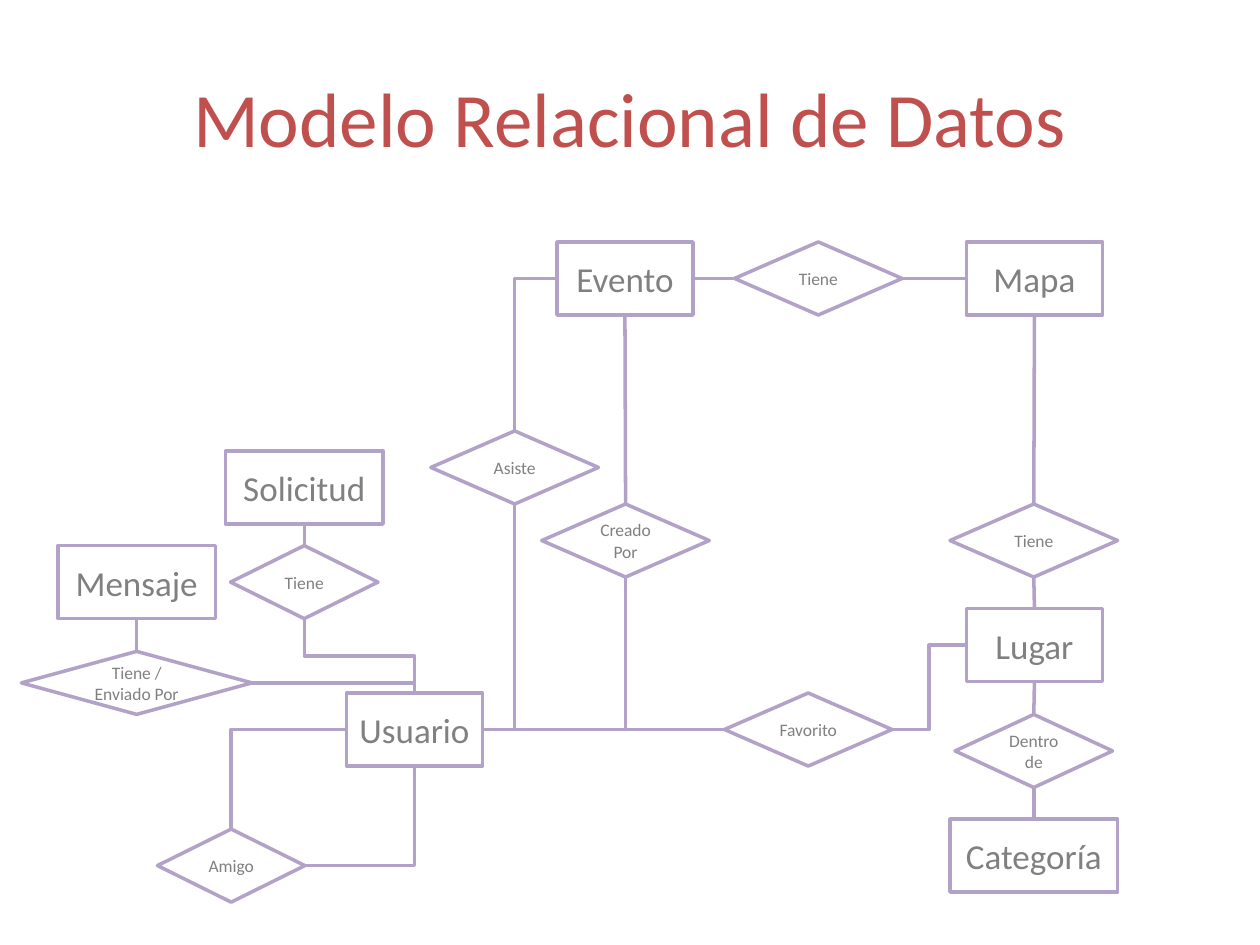
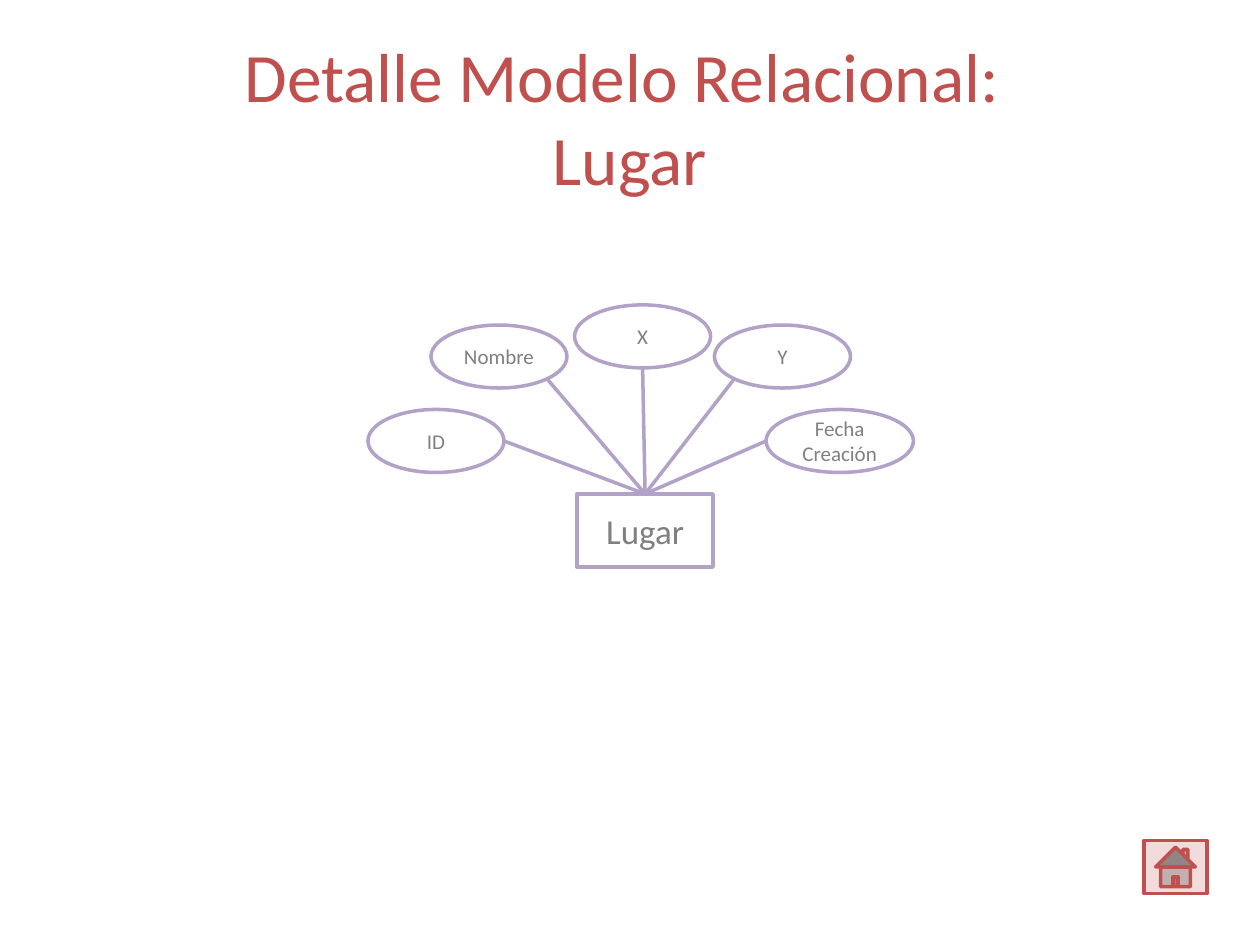
from dataclasses import dataclass
from math import sqrt

from pptx import Presentation
from pptx.dml.color import RGBColor
from pptx.enum.shapes import MSO_CONNECTOR as Connector, MSO_SHAPE as Shape
from pptx.enum.text import MSO_ANCHOR as Anchor, PP_ALIGN as Align
from pptx.oxml.ns import qn
from pptx.util import Inches, Pt


@dataclass(frozen=True)
class Theme:
    """Colours, type sizes and measures that the slides share."""
    font: str = "Calibri"
    accent: str = "C0504D"
    accent_pale: str = "F2DCDB"
    outline: str = "B3A2C7"
    text: str = "808080"
    paper: str = "FFFFFF"
    title_size: float = 44
    long_title_size: float = 39.6
    entity_size: float = 20
    relation_size: float = 10
    attribute_size: float = 12
    line_width: float = 2
    inset: float = 0.09
    entity_height: float = 0.58


THEME = Theme()
TOP, LEFT, BOTTOM, RIGHT = range(4)
ELBOW, CORNER, STEP_DOWN = "elbow", "corner", "step down"
KINDS = {
    "entity": (Shape.RECTANGLE, THEME.entity_size),
    "relation": (Shape.DIAMOND, THEME.relation_size),
    "attribute": (Shape.OVAL, THEME.attribute_size),
}

# Key: kind, text, left, top, width, height
MODEL_NODES = {
    "user": ("entity", "Usuario", 2.75, 5.5, 1.08),
    "friend": ("relation", "Amigo", 1.25, 6.58, 1.17),
    "place": ("entity", "Lugar", 7.67, 4.83, 1.08),
    "favourite": ("relation", "Favorito", 5.75, 5.5, 1.33),
    "map": ("entity", "Mapa", 7.67, 1.92, 1.08),
    "map has": ("relation", "Tiene", 7.54, 4, 1.33),
    "inside": ("relation", "Dentro de", 7.58, 5.67, 1.25),
    "category": ("entity", "Categoría", 7.54, 6.5, 1.33),
    "event has": ("relation", "Tiene", 5.83, 1.92, 1.33),
    "message": ("entity", "Mensaje", 0.46, 4.33, 1.25),
    "request": ("entity", "Solicitud", 1.79, 3.58, 1.25),
    "sent by": ("relation", "Tiene / Enviado Por", 0.17, 5.17, 1.83, 0.5),
    "request has": ("relation", "Tiene", 1.83, 4.33, 1.17),
    "event": ("entity", "Evento", 4.42, 1.92, 1.08),
    "created by": ("relation", "Creado Por", 4.3, 4, 1.33),
    "attends": ("relation", "Asiste", 3.42, 3.42, 1.33),
}
# Start node and side, end node and side, route (straight when left out)
MODEL_LINKS = [
    ("user", LEFT, "friend", TOP, CORNER),
    ("friend", RIGHT, "user", BOTTOM, CORNER),
    ("user", RIGHT, "favourite", LEFT),
    ("place", LEFT, "favourite", RIGHT, ELBOW),
    ("map", BOTTOM, "map has", TOP),
    ("map has", BOTTOM, "place", TOP),
    ("place", BOTTOM, "inside", TOP),
    ("inside", BOTTOM, "category", TOP),
    ("event", RIGHT, "event has", LEFT),
    ("event has", RIGHT, "map", LEFT),
    ("event", BOTTOM, "created by", TOP),
    ("user", RIGHT, "created by", BOTTOM, CORNER),
    ("event", LEFT, "attends", TOP, CORNER),
    ("user", RIGHT, "attends", BOTTOM, CORNER),
    ("message", BOTTOM, "sent by", TOP),
    ("sent by", RIGHT, "user", TOP, CORNER),
    ("request", BOTTOM, "request has", TOP),
    ("request has", BOTTOM, "user", TOP, STEP_DOWN),
]

DIAGONAL = 1 / sqrt(2)
# Text, left, top, width, link point as a share of the half width and height
PLACE_ATTRIBUTES = [
    ("ID", 2.92, 3.25, 1.08, (1, 0)),
    ("Nombre", 3.42, 2.58, 1.08, (DIAGONAL, DIAGONAL)),
    ("X", 4.56, 2.42, 1.08, (0, 1)),
    ("Y", 5.67, 2.58, 1.08, (-DIAGONAL, DIAGONAL)),
    ("Fecha Creación", 6.08, 3.25, 1.17, (-1, 0)),
]


def style_font(font, size, colour):
    """Give a font the theme face, a size and a colour."""
    for name, value in {"name": THEME.font, "size": Pt(size)}.items():
        setattr(font, name, value)
    font.color.rgb = RGBColor.from_string(colour)


def style_line(line, colour):
    """Give an outline or connector the theme width and a colour."""
    line.color.rgb = RGBColor.from_string(colour)
    line.width = Pt(THEME.line_width)


def add_title_slide(presentation, text, size):
    """Add a slide with only a centred title."""
    slide = presentation.slides.add_slide(presentation.slide_layouts[5])
    title = slide.shapes.title
    bounds = {"left": 0.5, "top": 0.3, "width": 9, "height": 1.25}
    for name, value in bounds.items():
        setattr(title, name, Inches(value))
    frame = title.text_frame
    frame.text = text
    frame.vertical_anchor = Anchor.MIDDLE
    paragraph = frame.paragraphs[0]
    paragraph.alignment = Align.CENTER
    for run in paragraph.runs:
        style_font(run.font, size, THEME.accent)
    return slide


def add_outlined(shapes, preset, bounds, fill, outline):
    """Add a flat preset shape with a fill and an outline."""
    shape = shapes.add_shape(preset, *map(Inches, bounds))
    shape.shadow.inherit = False
    shape.fill.solid()
    shape.fill.fore_color.rgb = RGBColor.from_string(fill)
    style_line(shape.line, outline)
    return shape


def add_node(shapes, kind, text, left, top, width, height=THEME.entity_height):
    """Add a labelled entity, relation or attribute."""
    preset, size = KINDS[kind]
    shape = add_outlined(shapes, preset, (left, top, width, height),
                         THEME.paper, THEME.outline)
    frame = shape.text_frame
    frame.text = text
    settings = {"word_wrap": True, "vertical_anchor": Anchor.MIDDLE,
                "margin_left": Inches(THEME.inset),
                "margin_right": Inches(THEME.inset)}
    for name, value in settings.items():
        setattr(frame, name, value)
    paragraph = frame.paragraphs[0]
    paragraph.alignment = Align.CENTER
    style_font(paragraph.runs[0].font, size, THEME.text)
    return shape


def add_line(shapes, start=(0, 0), end=(0, 0), kind=Connector.STRAIGHT):
    """Add a flat connector between two points."""
    line = shapes.add_connector(kind, *map(Inches, (*start, *end)))
    style_line(line.line, THEME.outline)
    properties = line._element.spPr
    properties.append(properties.makeelement(qn("a:effectLst"), {}))
    return line


def turn_step(line):
    """Turn an elbow so that it leaves and arrives vertically."""
    width, height = line.width, line.height
    line.left += (width - height) // 2
    line.top += (height - width) // 2
    line.width, line.height = height, width
    transform = line._element.spPr.find(qn("a:xfrm"))
    transform.set("rot", str(90 * 60000))
    transform.set("flipV", "1")


def link_nodes(shapes, start, start_side, end, end_side, route=None):
    """Join the sides of two nodes by a straight or bent connector."""
    line = add_line(shapes,
                    kind=Connector.ELBOW if route else Connector.STRAIGHT)
    line.begin_connect(start, start_side)
    line.end_connect(end, end_side)
    if route == CORNER:
        geometry = line._element.spPr.find(qn("a:prstGeom"))
        geometry.set("prst", "bentConnector2")
    elif route == STEP_DOWN:
        turn_step(line)


def add_home_button(slide):
    """Add the home button at the bottom right."""
    add_outlined(slide.shapes, Shape.ACTION_BUTTON_HOME,
                 (9.08, 6.67, 0.5, 0.42), THEME.accent_pale, THEME.accent)


def build_model(presentation):
    """Build the entity-relation diagram."""
    slide = add_title_slide(presentation, "Modelo Relacional de Datos",
                            THEME.title_size)
    nodes = {key: add_node(slide.shapes, *node)
             for key, node in MODEL_NODES.items()}
    for start, start_side, end, end_side, *route in MODEL_LINKS:
        link_nodes(slide.shapes, nodes[start], start_side,
                   nodes[end], end_side, *route)


def build_place_detail(presentation):
    """Build the fan of attributes around the place entity."""
    slide = add_title_slide(presentation,
                            "Detalle Modelo Relacional: \vLugar",
                            THEME.long_title_size)
    add_home_button(slide)
    shapes = slide.shapes.add_group_shape().shapes
    add_node(shapes, "entity", "Lugar", 4.58, 3.92, 1.08)
    height = 0.5
    for text, left, top, width, (across, down) in PLACE_ATTRIBUTES:
        add_node(shapes, "attribute", text, left, top, width, height)
        edge = (left + width / 2 * (1 + across),
                top + height / 2 * (1 + down))
        add_line(shapes, edge, (5.12, 3.92))


def main():
    """Build and save the presentation."""
    presentation = Presentation()
    presentation.slide_width = Inches(10)
    presentation.slide_height = Inches(7.5)
    build_model(presentation)
    build_place_detail(presentation)
    presentation.save("out.pptx")


main()
